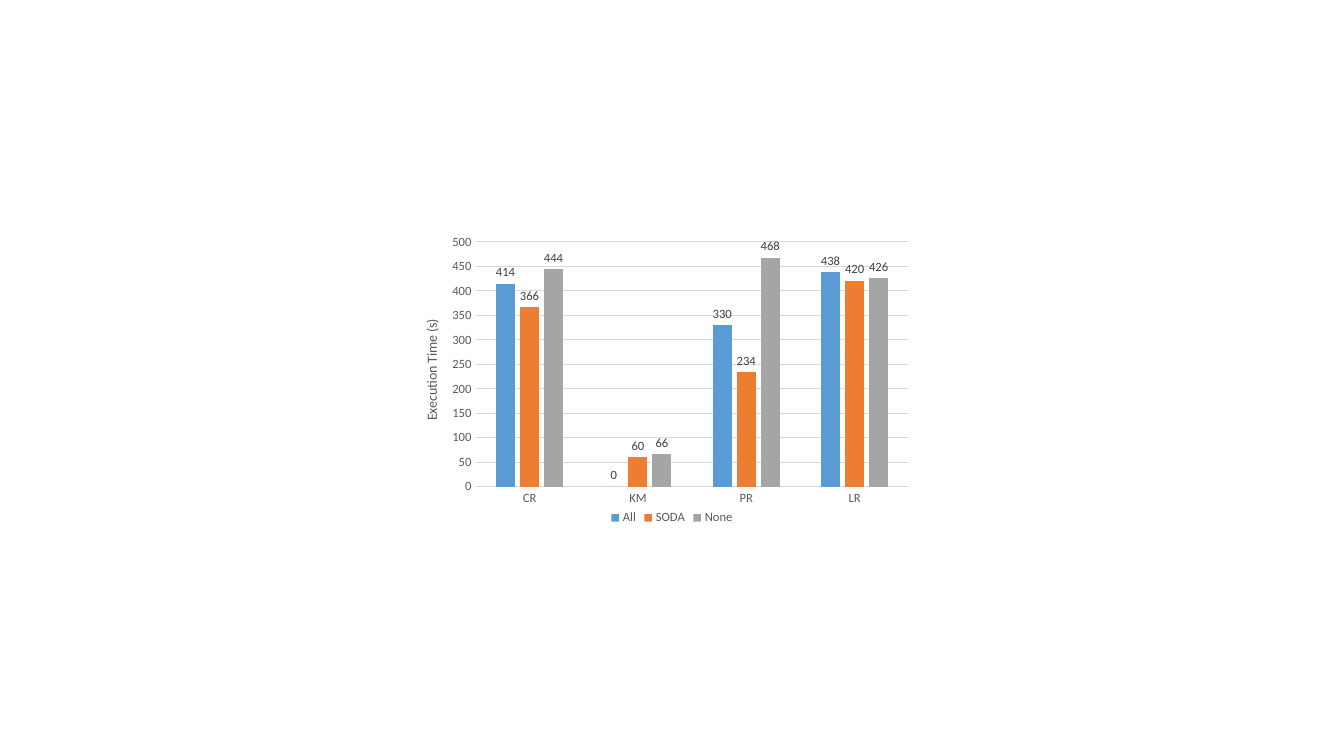
from lxml import etree
from pptx import Presentation
from pptx.chart.data import CategoryChartData
from pptx.dml.color import RGBColor
from pptx.enum.chart import XL_CHART_TYPE, XL_LABEL_POSITION, XL_LEGEND_POSITION, XL_TICK_MARK
from pptx.oxml.ns import qn
from pptx.util import Pt

BARS = XL_CHART_TYPE.COLUMN_CLUSTERED
OUTER = XL_LABEL_POSITION.OUTSIDE_END
BOTTOM = XL_LEGEND_POSITION.BOTTOM
NO_TICK = XL_TICK_MARK.NONE

GROUPS = ["CR", "KM", "PR", "LR"]
TIMES = {
    "All": (414, 0, 330, 438),
    "SODA": (366, 60, 234, 420),
    "None": (444, 66, 468, 426),
}
TITLE = "Execution Time (s)"
COLORS = {
    "All": "5B9BD5",
    "SODA": "ED7D31",
    "None": "A5A5A5",
    "text": "595959",
    "label": "404040",
    "grid": "D9D9D9",
}
FACE = "Calibri"
WIDE, HIGH = 960, 540
BOX = (300, 162, 360, 216)
PLOT = {"x": 0.11, "y": 0.05, "w": 0.86, "h": 0.81}
TOP, STEP = 500, 50


def rgb(name):
    return RGBColor.from_string(COLORS[name])


def style(font, size=9, color="text"):
    font.name = FACE
    font.size = Pt(size)
    font.bold = False
    font.color.rgb = rgb(color)


def write(frame, text, **form):
    frame.text = text
    style(frame.paragraphs[0].runs[0].font, **form)


def rule(line):
    line.color.rgb = rgb("grid")
    line.width = Pt(0.75)


def place(chart):
    area = chart.element.find(".//" + qn("c:plotArea"))
    for old in area.findall(qn("c:layout")):
        area.remove(old)
    layout = etree.Element(qn("c:layout"))
    manual = etree.SubElement(layout, qn("c:manualLayout"))
    parts = {"layoutTarget": "inner", "xMode": "edge", "yMode": "edge", **PLOT}
    for key, value in parts.items():
        etree.SubElement(manual, qn("c:" + key)).set("val", str(value))
    area.insert(0, layout)


def draw(slide):
    data = CategoryChartData()
    data.categories = GROUPS
    for name, times in TIMES.items():
        data.add_series(name, times)
    chart = slide.shapes.add_chart(BARS, *map(Pt, BOX), data).chart
    style(chart.font, size=10)
    chart.has_title = False
    chart.has_legend = True
    chart.legend.position = BOTTOM
    chart.legend.include_in_layout = False
    style(chart.legend.font)

    plot = chart.plots[0]
    plot.gap_width = 219
    plot.overlap = -27
    plot.vary_by_categories = False
    for series in plot.series:
        series.format.fill.solid()
        series.format.fill.fore_color.rgb = rgb(series.name)
        labels = series.data_labels
        labels.show_value = True
        labels.position = OUTER
        style(labels.font, color="label")

    base, scale = chart.category_axis, chart.value_axis
    for axis in (base, scale):
        axis.major_tick_mark = axis.minor_tick_mark = NO_TICK
        style(axis.tick_labels.font)
    rule(base.format.line)
    rule(scale.major_gridlines.format.line)
    scale.format.line.fill.background()
    scale.minimum_scale = 0
    scale.maximum_scale = TOP
    scale.major_unit = STEP
    title = scale.axis_title
    write(title.text_frame, TITLE, size=10)
    title.element.find(".//" + qn("a:bodyPr")).set("rot", "-5400000")
    place(chart)


def main():
    deck = Presentation()
    deck.slide_width, deck.slide_height = Pt(WIDE), Pt(HIGH)
    draw(deck.slides.add_slide(deck.slide_layouts[6]))
    deck.save("out.pptx")


if __name__ == "__main__":
    main()
